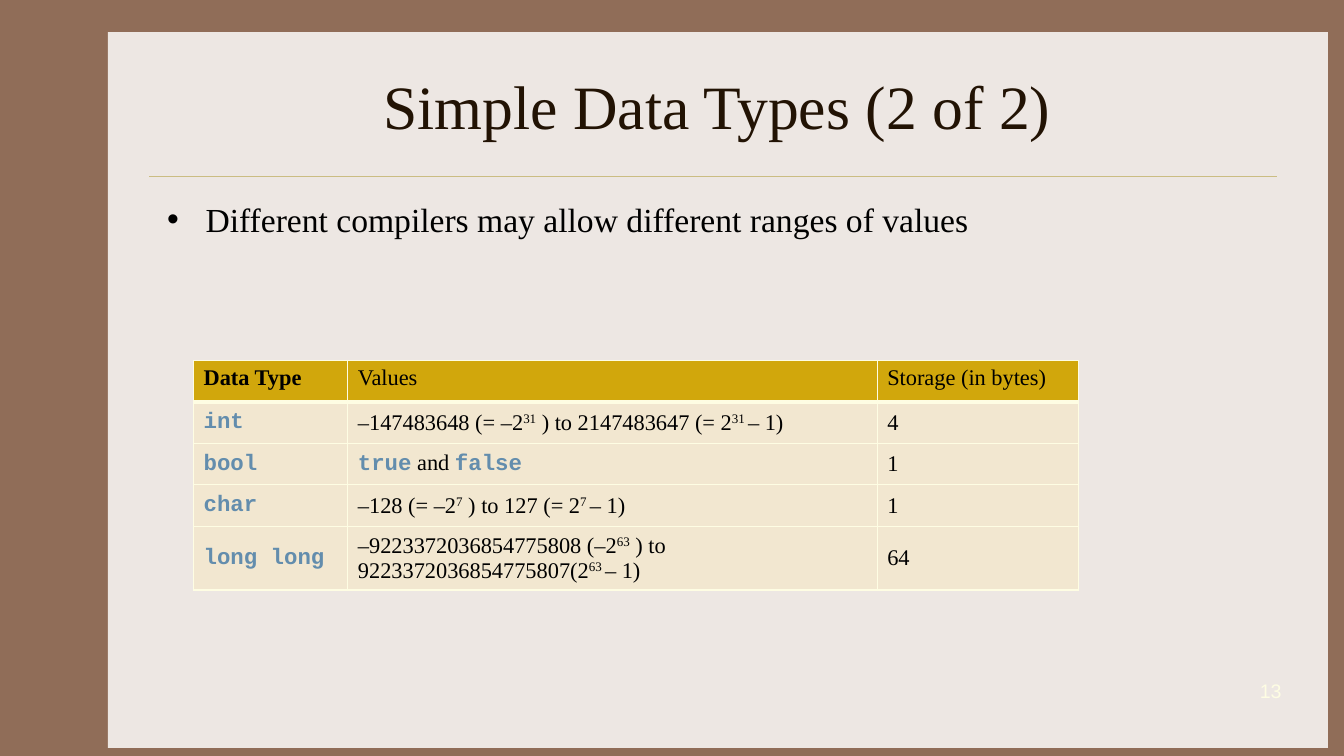
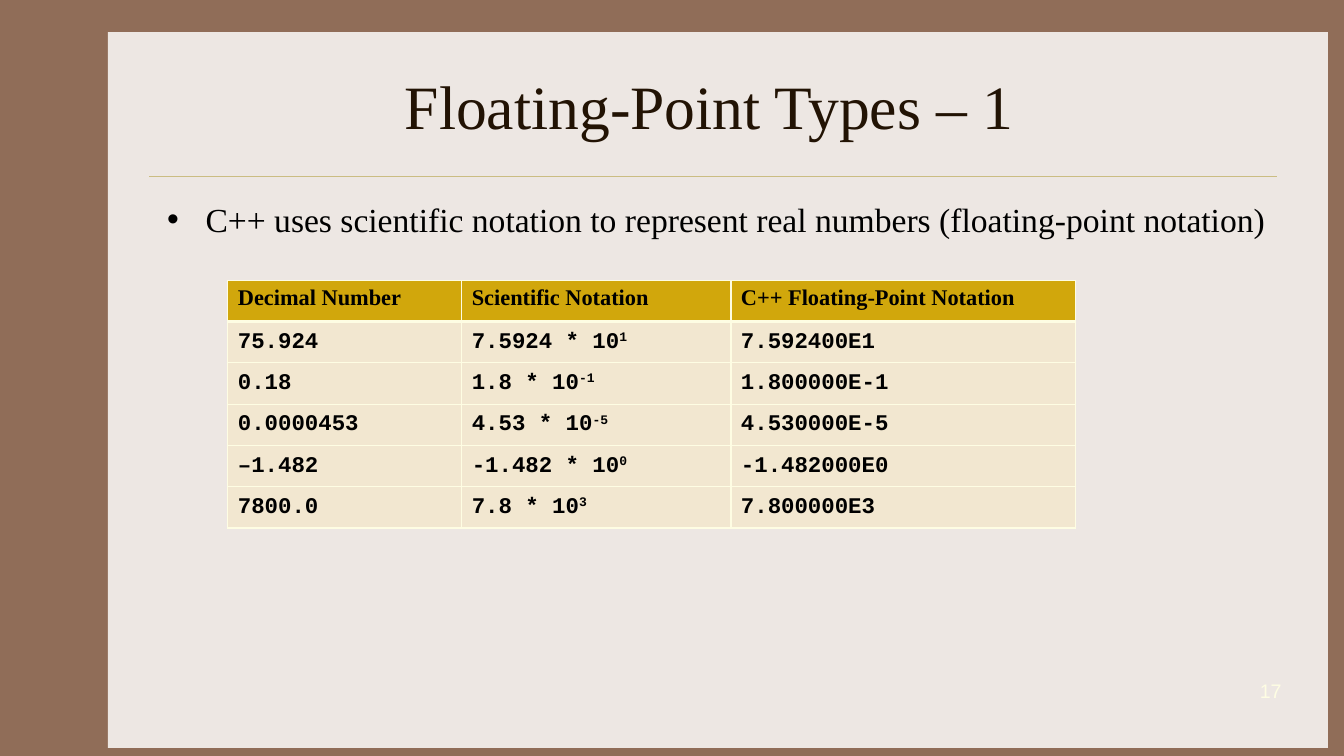
from lxml.etree import SubElement
from pptx import Presentation
from pptx.dml.color import RGBColor
from pptx.enum.shapes import MSO_CONNECTOR, MSO_SHAPE
from pptx.enum.text import MSO_ANCHOR as Anchor, MSO_AUTO_SIZE, PP_ALIGN as Align
from pptx.oxml.ns import qn
from pptx.util import Inches, Pt

FRAME = RGBColor(0x90, 0x6D, 0x58)
PANEL = RGBColor(0xED, 0xE7, 0xE3)
RULE = RGBColor(0xCB, 0xBD, 0x83)
TITLE = RGBColor(0x22, 0x13, 0x04)
BLACK = RGBColor(0x00, 0x00, 0x00)
KEYWORD = RGBColor(0x63, 0x8D, 0xAD)
HEADER = RGBColor(0xD1, 0xA7, 0x0C)
BODY = RGBColor(0xF2, 0xE7, 0xD0)
CREAM = RGBColor(0xFE, 0xFD, 0xE3)
SERIF = "Times New Roman"
MONO = "Courier New"

SLIDES = [
    {
        "title": "Simple Data Types (2 of 2)",
        "bullet": "Different compilers may allow different ranges of values",
        "page": "13",
        "corner": (1.92, 3.58),
        "columns": (1.53, 5.25, 2),
        "bold_headers": 1,
        "code_color": KEYWORD,
        "rows": [
            ("Data Type", "Values", "Storage (in bytes)"),
            ("`int`", "–147483648 (= –2^31^ ) to 2147483647 (= 2^31 ^– 1)", "4"),
            ("`bool`", "`true` and `false`", "1"),
            ("`char`", "–128 (= –2^7^ ) to 127 (= 2^7 ^– 1)", "1"),
            ("`long long`",
             "–9223372036854775808 (–2^63^ ) to\n9223372036854775807(2^63 ^– 1)", "64"),
        ],
    },
    {
        "title": "Floating-Point Types – 1 ",
        "bullet": "C++ uses scientific notation to represent real numbers "
                  "(floating-point notation)",
        "page": "17",
        "corner": (2.26, 2.78),
        "columns": (2.32, 2.67, 3.42),
        "bold_headers": 3,
        "code_color": BLACK,
        "rows": [
            ("Decimal Number", "Scientific Notation", "C++ Floating-Point Notation"),
            ("`75.924`", "`7.5924 * 10^1^`", "`7.592400E1`"),
            ("`0.18`", "`1.8 * 10^-1^`", "`1.800000E-1`"),
            ("`0.0000453`", "`4.53 * 10^-5^`", "`4.530000E-5`"),
            ("`–1.482`", "`-1.482 * 10^0^`", "`-1.482000E0`"),
            ("`7800.0`", "`7.8 * 10^3^`", "`7.800000E3`"),
        ],
    },
]


def style(font, size, color, name=SERIF, bold=False):
    font.size = Pt(size)
    font.color.rgb = color
    font.name = name
    font.bold = bold


def write_cell(cell, marked_text, code_color, bold):
    frame = cell.text_frame
    for number, line in enumerate(marked_text.split("\n")):
        paragraph = frame.add_paragraph() if number else frame.paragraphs[0]
        for part_index, part in enumerate(line.split("`")):
            is_code = part_index % 2 == 1
            for piece_index, piece in enumerate(part.split("^")):
                if not piece:
                    continue
                run = paragraph.add_run()
                run.text = piece
                style(run.font, 16, code_color if is_code else BLACK,
                      MONO if is_code else SERIF, bold or is_code)
                if piece_index % 2:
                    run.font._element.set("baseline", "30000")


prs = Presentation()
prs.slide_width = Inches(13.33)
prs.slide_height = Inches(7.5)
background = prs.slide_master.background.fill
background.solid()
background.fore_color.rgb = FRAME
title_only = prs.slide_layouts[5]

for content in SLIDES:
    slide = prs.slides.add_slide(title_only)
    title = slide.shapes.title

    panel = slide.shapes.add_shape(
        MSO_SHAPE.RECTANGLE, Inches(1.07), Inches(0.32), Inches(12.1), Inches(7.1))
    panel.shadow.inherit = False
    panel.fill.solid()
    panel.fill.fore_color.rgb = PANEL
    panel.line.fill.background()
    title._element.addprevious(panel._element)

    rule = slide.shapes.add_connector(
        MSO_CONNECTOR.STRAIGHT, Inches(1.48), Inches(1.75), Inches(12.67), Inches(1.75))
    rule.line.color.rgb = RULE
    rule.line.width = Pt(0.25)
    SubElement(rule._element.spPr, qn("a:effectLst"))

    title.left, title.top = Inches(1.56), Inches(0.42)
    title.width, title.height = Inches(11.11), Inches(1.25)
    title.text_frame.text = content["title"]
    title.text_frame.auto_size = MSO_AUTO_SIZE.NONE
    title.text_frame.vertical_anchor = Anchor.MIDDLE
    heading = title.text_frame.paragraphs[0]
    heading.alignment = Align.CENTER
    style(heading.runs[0].font, 44, TITLE)

    statement = slide.shapes.add_textbox(
        Inches(1.56), Inches(1.92), Inches(11.11), Inches(0.5)).text_frame
    statement.word_wrap = True
    statement.text = content["bullet"]
    bullet = statement.paragraphs[0]
    indents = bullet._element.get_or_add_pPr()
    indents.set("marL", str(Inches(0.38)))
    indents.set("indent", str(-Inches(0.38)))
    SubElement(indents, qn("a:buFont"), typeface="Arial")
    SubElement(indents, qn("a:buChar"), char="•")
    style(bullet.runs[0].font, 24, BLACK)

    rows, columns = content["rows"], content["columns"]
    heights = [0.6 if "\n" in "".join(row) else 0.41 for row in rows]
    left, top = content["corner"]
    table = slide.shapes.add_table(
        len(rows), len(columns), Inches(left), Inches(top),
        Inches(sum(columns)), Inches(sum(heights))).table
    table.first_row = table.horz_banding = False
    for column, width in zip(table.columns, columns):
        column.width = Inches(width)
    for row_index, row in enumerate(rows):
        is_header = row_index == 0
        table.rows[row_index].height = Inches(heights[row_index])
        for column_index, marked_text in enumerate(row):
            cell = table.cell(row_index, column_index)
            write_cell(cell, marked_text, content["code_color"],
                       is_header and column_index < content["bold_headers"])
            cell.vertical_anchor = Anchor.TOP if is_header else Anchor.MIDDLE
            properties = cell._tc.get_or_add_tcPr()
            for side in ("lnL", "lnR", "lnT", "lnB"):
                points = 3 if is_header and side == "lnB" else 1
                border = SubElement(properties, qn(f"a:{side}"), w=str(Pt(points)))
                border_fill = SubElement(border, qn("a:solidFill"))
                SubElement(border_fill, qn("a:srgbClr"), val=str(CREAM))
            cell.fill.solid()
            cell.fill.fore_color.rgb = HEADER if is_header else BODY

    page = slide.shapes.add_textbox(
        Inches(11.81), Inches(6.65), Inches(1), Inches(0.4)).text_frame
    page.word_wrap = True
    page.vertical_anchor = Anchor.MIDDLE
    page.text = content["page"]
    page.paragraphs[0].alignment = Align.RIGHT
    style(page.paragraphs[0].runs[0].font, 14, CREAM, "Arial")

prs.save("out.pptx")
